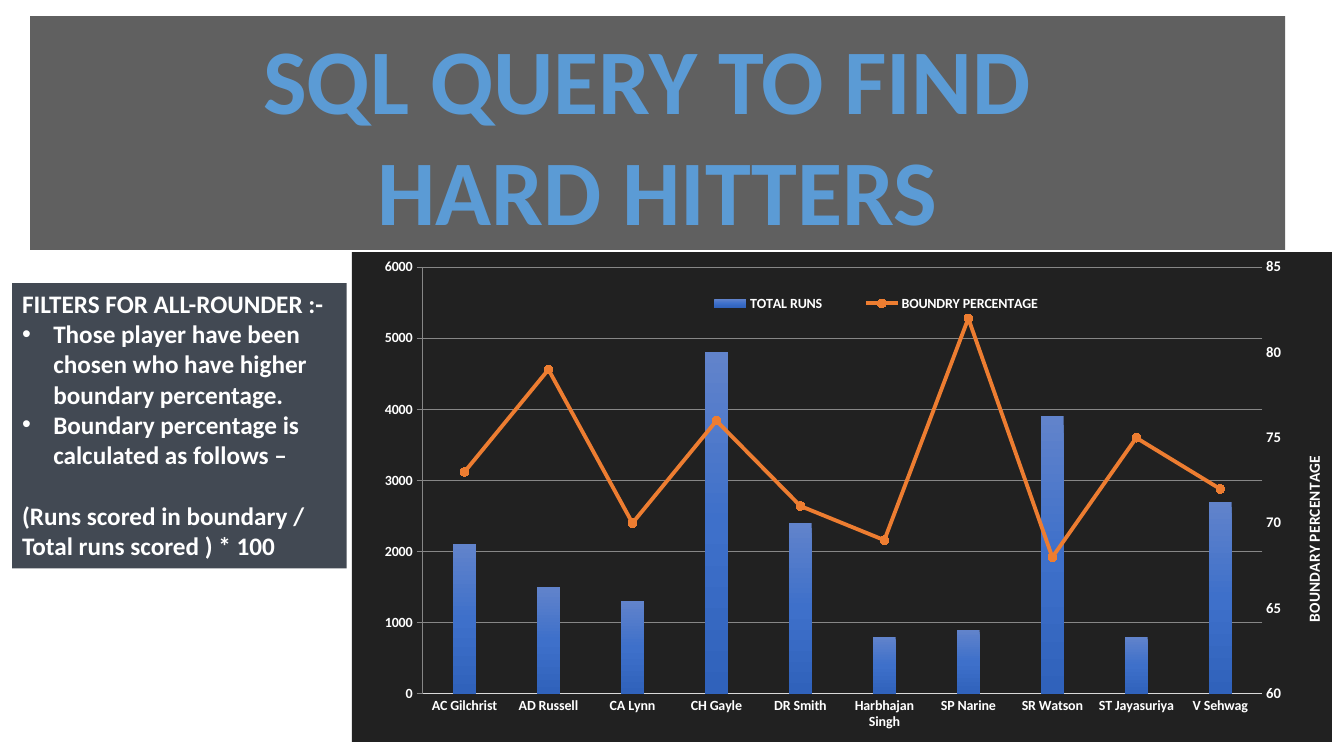
from copy import deepcopy

from lxml.etree import SubElement
from pptx import Presentation
from pptx.chart.axis import CategoryAxis, ValueAxis
from pptx.chart.data import CategoryChartData
from pptx.dml.color import RGBColor
from pptx.enum.chart import XL_CHART_TYPE, XL_LEGEND_POSITION, XL_MARKER_STYLE, XL_TICK_MARK
from pptx.enum.shapes import MSO_SHAPE
from pptx.enum.text import MSO_ANCHOR, MSO_AUTO_SIZE, PP_ALIGN
from pptx.oxml import parse_xml
from pptx.oxml.ns import nsdecls, qn
from pptx.util import Inches, Pt

COLUMNS, ROWS = 80, 45
WHITE = RGBColor(0xFF, 0xFF, 0xFF)
BLACK = RGBColor(0x00, 0x00, 0x00)
CHARCOAL = RGBColor(0x26, 0x26, 0x26)
SLATE = RGBColor(0x22, 0x2A, 0x35)
SKY = RGBColor(0x5B, 0x9B, 0xD5)
GRID_GREY = RGBColor(0xD9, 0xD9, 0xD9)
ORANGE = RGBColor(0xED, 0x7D, 0x31)
MARKER_ORANGE = RGBColor(0xF6, 0x7B, 0x28)
BAR_BLUES = [RGBColor(0x61, 0x83, 0xCB), RGBColor(0x3E, 0x70, 0xCA), RGBColor(0x30, 0x62, 0xBB)]

TITLE_LINES = ["SQL QUERY TO FIND ", "HARD HITTERS"]
FILTER_LINES = [
    ("FILTERS FOR ALL-ROUNDER :-", {}, False),
    ("Those player have been chosen who have higher boundary percentage.", {}, True),
    ("Boundary percentage is calculated as follows –", {}, True),
    ("(Runs scored in boundary /", {"space_before": Pt(22)}, False),
    ("Total runs scored ) * 100", {}, False),
]
HITTERS = [
    ("AC Gilchrist", 2100, 73),
    ("AD Russell", 1500, 79),
    ("CA Lynn", 1300, 70),
    ("CH Gayle", 4800, 76),
    ("DR Smith", 2400, 71),
    ("Harbhajan Singh", 800, 69),
    ("SP Narine", 900, 82),
    ("SR Watson", 3900, 68),
    ("ST Jayasuriya", 800, 75),
    ("V Sehwag", 2700, 72),
]


def apply_format(target, values):
    """Set each named attribute of the target."""
    for name, value in values.items():
        setattr(target, name, value)


def apply_font(font, size, color):
    """Make a font bold Calibri in the given size and colour."""
    apply_format(font, {"name": "Calibri", "size": Pt(size), "bold": True})
    font.color.rgb = color


def fill_panel(shape, color, opacity):
    """Give a shape a translucent fill without line or shadow."""
    shape.fill.solid()
    shape.fill.fore_color.rgb = color
    color_element = shape.element.spPr.find(".//" + qn("a:srgbClr"))
    SubElement(color_element, qn("a:alpha"), val=str(opacity * 1000))
    shape.line.fill.background()
    shape.shadow.inherit = False


def write_line(frame, index, text, size, color, values):
    """Write one paragraph into a text frame."""
    paragraph = frame.paragraphs[0] if index == 0 else frame.add_paragraph()
    run = paragraph.add_run()
    run.text = text
    apply_font(run.font, size, color)
    apply_format(paragraph, values)


def add_title(slide, box):
    """Place the two-line heading on its grey band."""
    title = slide.shapes.title
    apply_format(title, dict(zip(("left", "top", "width", "height"), box)))
    fill_panel(title, CHARCOAL, 73)
    frame = title.text_frame
    apply_format(frame, {"word_wrap": True, "auto_size": MSO_AUTO_SIZE.SHAPE_TO_FIT_TEXT,
                         "vertical_anchor": MSO_ANCHOR.MIDDLE})
    for index, text in enumerate(TITLE_LINES):
        write_line(frame, index, text, 66, SKY, {"alignment": PP_ALIGN.CENTER})
    for properties in title.element.iter(qn("a:rPr")):
        properties.insert(0, parse_xml(
            f'<a:ln {nsdecls("a")} w="{Pt(0.75)}"><a:solidFill>'
            f'<a:srgbClr val="{WHITE}"/></a:solidFill></a:ln>'))


def add_filters(slide, box):
    """Place the panel that lists the selection filters."""
    panel = slide.shapes.add_shape(MSO_SHAPE.RECTANGLE, *box)
    fill_panel(panel, SLATE, 85)
    frame = panel.text_frame
    apply_format(frame, {"word_wrap": True, "auto_size": MSO_AUTO_SIZE.SHAPE_TO_FIT_TEXT,
                         "vertical_anchor": MSO_ANCHOR.TOP})
    for index, (text, values, bulleted) in enumerate(FILTER_LINES):
        write_line(frame, index, text, 18, WHITE, {"alignment": PP_ALIGN.LEFT, **values})
        if bulleted:
            properties = list(panel.element.iter(qn("a:pPr")))[index]
            properties.set("marL", str(Inches(0.31)))
            properties.set("indent", str(-Inches(0.31)))
            SubElement(properties, qn("a:buFont"), typeface="Arial")
            SubElement(properties, qn("a:buChar"), char="•")


def set_layout(parent, index, percents, inner=False):
    """Fix a chart part at left, top, width and height percents of the chart."""
    for layout in parent.findall(qn("c:layout")):
        parent.remove(layout)
    layout = parse_xml(f'<c:layout {nsdecls("c")}><c:manualLayout/></c:layout>')
    settings = [("layoutTarget", "inner")] if inner else []
    settings += [("xMode", "edge"), ("yMode", "edge")]
    settings += [(name, str(percent / 100)) for name, percent in zip("xywh", percents)]
    for name, value in settings:
        SubElement(layout[0], qn(f"c:{name}"), val=value)
    parent.insert(index, layout)


def format_value_axis(axis, title, title_place, label_size, scale):
    """Style a value axis and its upright title."""
    apply_format(axis, dict(zip(("minimum_scale", "maximum_scale", "major_unit"), scale)))
    apply_format(axis, {"major_tick_mark": XL_TICK_MARK.NONE,
                        "minor_tick_mark": XL_TICK_MARK.NONE})
    apply_font(axis.tick_labels.font, label_size, WHITE)
    axis.format.line.fill.background()
    frame = axis.axis_title.text_frame
    frame.text = title
    apply_font(frame.paragraphs[0].runs[0].font, 11, WHITE)
    body = axis.axis_title.element.find(".//" + qn("a:bodyPr"))
    body.set("rot", "-5400000")
    body.set("vert", "horz")
    set_layout(axis.axis_title.element, 1, title_place)


def move_to_right_axis(plot_area):
    """Turn the second series into a line on its own axes; return the value axis."""
    series = plot_area.findall(".//" + qn("c:ser"))[1]
    for bar_setting in series.findall(qn("c:invertIfNegative")):
        series.remove(bar_setting)
    line_chart = parse_xml(
        f'<c:lineChart {nsdecls("c")}><c:grouping val="standard"/><c:varyColors val="0"/>'
        '<c:marker val="1"/><c:axId val="5001"/><c:axId val="5002"/></c:lineChart>')
    line_chart.insert(2, series)
    plot_area.find(qn("c:barChart")).addnext(line_chart)
    last = plot_area.find(qn("c:valAx"))
    for tag, own, other in (("c:catAx", "5001", "5002"), ("c:valAx", "5002", "5001")):
        axis = deepcopy(plot_area.find(qn(tag)))
        axis.find(qn("c:axId")).set("val", own)
        axis.find(qn("c:crossAx")).set("val", other)
        last.addnext(axis)
        last = axis
    last.find(qn("c:axPos")).set("val", "r")
    last.find(qn("c:crosses")).set("val", "max")
    CategoryAxis(last.getprevious()).visible = False
    right_axis = ValueAxis(last)
    right_axis.has_major_gridlines = False
    return right_axis


def format_series(chart):
    """Colour the gradient bars and the marked line."""
    bars, line = (plot.series[0] for plot in chart.plots)
    fill = bars.format.fill
    fill.gradient()
    fill.gradient_angle = 270
    stops = chart.element.find(".//" + qn("a:gsLst"))
    stops.insert(1, deepcopy(stops[0]))
    for index, (stop, color) in enumerate(zip(fill.gradient_stops, BAR_BLUES)):
        stop.color.rgb = color
        stop.position = index / 2
    line.smooth = False
    line.format.line.color.rgb = ORANGE
    line.format.line.width = Pt(2.75)
    apply_format(line.marker, {"style": XL_MARKER_STYLE.CIRCLE, "size": 6})
    line.marker.format.fill.solid()
    line.marker.format.fill.fore_color.rgb = MARKER_ORANGE
    line.marker.format.line.color.rgb = ORANGE


def add_hitters_chart(slide, box):
    """Place the combined chart of runs and boundary percentage."""
    names, runs, percentages = zip(*HITTERS)
    data = CategoryChartData()
    data.categories = names
    data.add_series("TOTAL RUNS", runs)
    data.add_series("BOUNDRY PERCENTAGE", percentages)
    chart = slide.shapes.add_chart(XL_CHART_TYPE.COLUMN_CLUSTERED, *box, data).chart
    apply_format(chart, {"has_title": False, "has_legend": True})
    apply_font(chart.font, 10, WHITE)
    apply_format(chart.plots[0], {"gap_width": 269, "overlap": -27, "vary_by_categories": False})
    chart.element.find(qn("c:chart")).addnext(parse_xml(
        f'<c:spPr {nsdecls("c", "a")}><a:solidFill><a:srgbClr val="{BLACK}">'
        '<a:alpha val="87000"/></a:srgbClr></a:solidFill><a:ln><a:noFill/></a:ln></c:spPr>'))

    plot_area = chart.element.find(".//" + qn("c:plotArea"))
    right_axis = move_to_right_axis(plot_area)
    set_layout(plot_area, 0, (7.2, 3.1, 85.7, 87.1), inner=True)
    format_value_axis(chart.value_axis, "TOTAL RUNS", (0.8, 41), 10, (0, 6000, 1000))
    format_value_axis(right_axis, "BOUNDARY PERCENTAGE", (96.8, 41), 10.5, (60, 85, 5))
    grid_line = chart.value_axis.major_gridlines.format.line
    category_axis = chart.category_axis
    category_axis.major_tick_mark = XL_TICK_MARK.NONE
    apply_font(category_axis.tick_labels.font, 10, WHITE)
    for line, width in ((grid_line, 0.75), (category_axis.format.line, 1)):
        line.color.rgb = GRID_GREY
        line.width = Pt(width)

    apply_format(chart.legend, {"position": XL_LEGEND_POSITION.RIGHT, "include_in_layout": False})
    apply_font(chart.legend.font, 10, WHITE)
    set_layout(chart.element.find(".//" + qn("c:legend")), 1, (33, 7.5, 41, 6))
    format_series(chart)


def main():
    """Build and save the slide."""
    presentation = Presentation()
    apply_format(presentation, {"slide_width": Inches(13.33), "slide_height": Inches(7.5)})
    column = presentation.slide_width / COLUMNS
    row = presentation.slide_height / ROWS
    slide = presentation.slides.add_slide(presentation.slide_layouts[5])
    for add_region, cells in (
        (add_title, (1.8, 0.96, 74.7, 13.92)),
        (add_hitters_chart, (20.95, 15, 58.33, 29.16)),
        (add_filters, (0.72, 16.86, 19.92, 16.98)),
    ):
        add_region(slide, [int(cell * unit) for cell, unit in zip(cells, (column, row) * 2)])
    presentation.save("out.pptx")


if __name__ == "__main__":
    main()
